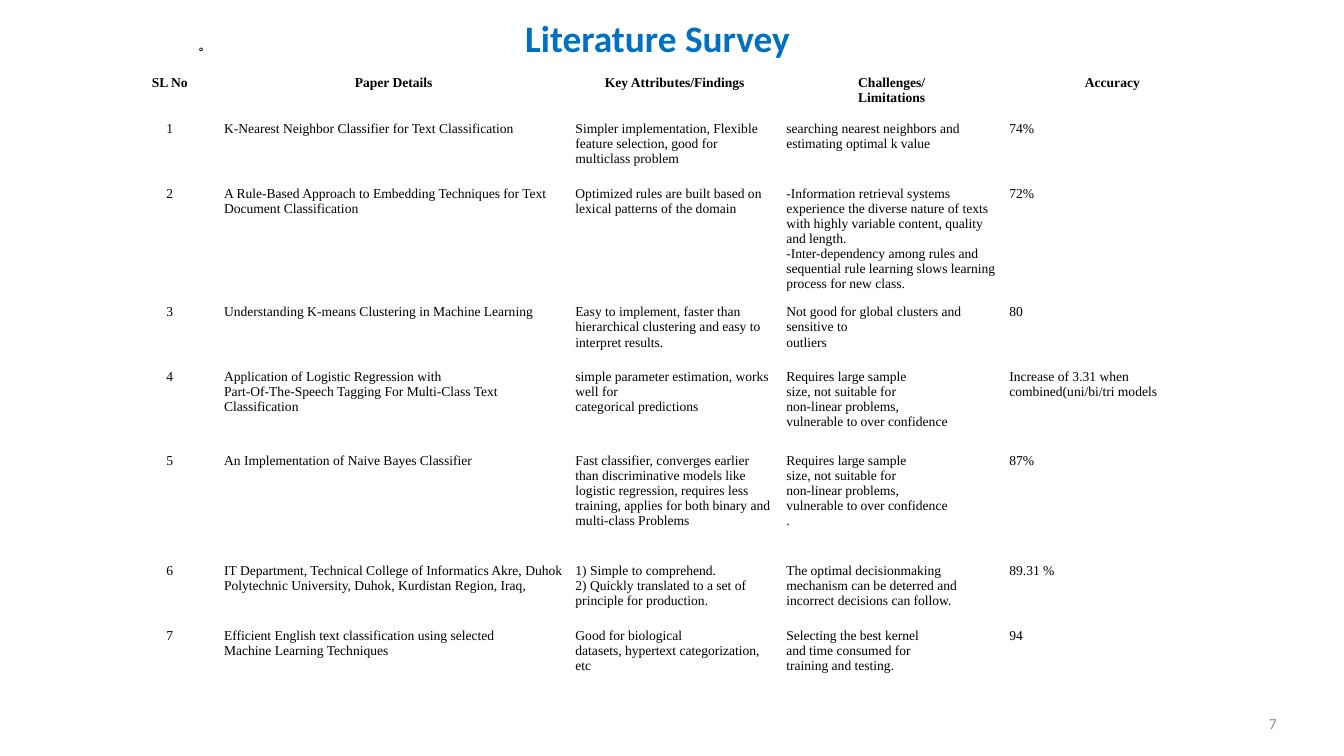
from pptx import Presentation
from pptx import util as u
from pptx.dml.color import RGBColor
from pptx.enum import shapes, text

COLORS = {"title": "0070C0", "body": "000000", "number": "898989", "mark": "231F20"}
COLUMN_WIDTHS = [4.01, 14.6, 8.76, 9.27, 9.07]
ROW_HEIGHTS = [1.9, 2.69, 4.93, 2.69, 3.48, 4.57, 2.72, 2.69]
HEADINGS = ["SL No", "Paper Details", "Key Attributes/Findings",
            "Challenges/\nLimitations", "Accuracy"]
LARGE_SAMPLE = ("Requires large sample\nsize, not suitable for\n"
                "non-linear problems,\nvulnerable to over confidence")
PAPERS = [
    ("K-Nearest Neighbor Classifier for Text Classification",
     "Simpler implementation, Flexible feature selection, good for multiclass problem",
     "searching nearest neighbors and estimating optimal k value",
     "74%"),
    ("A Rule-Based Approach to Embedding Techniques for Text Document Classification",
     "Optimized rules are built based on lexical patterns of the domain",
     "-Information retrieval systems experience the diverse nature of texts "
     "with highly variable content, quality and length.\n"
     "-Inter-dependency among rules and sequential rule learning slows "
     "learning process for new class.",
     "72%"),
    ("Understanding K-means Clustering in Machine Learning",
     "Easy to implement, faster than hierarchical clustering and easy to interpret results.",
     "Not good for global clusters and sensitive to\noutliers",
     "80"),
    ("Application of Logistic Regression with\n"
     "Part-Of-The-Speech Tagging For Multi-Class Text Classification",
     "simple parameter estimation, works well for\ncategorical predictions",
     LARGE_SAMPLE,
     "Increase of 3.31 when combined(uni/bi/tri models"),
    ("An Implementation of Naive Bayes Classifier",
     "Fast classifier, converges earlier than discriminative models like logistic "
     "regression, requires less training, applies for both binary and multi-class Problems",
     LARGE_SAMPLE + "\n.",
     "87%"),
    ("IT Department, Technical College of Informatics Akre, Duhok Polytechnic "
     "University, Duhok, Kurdistan Region, Iraq,",
     "1) Simple to comprehend.\n2) Quickly translated to a set of\nprinciple for production.",
     "The optimal decisionmaking mechanism can be deterred and incorrect decisions can follow.",
     "89.31 %"),
    ("Efficient English text classification using selected\nMachine Learning Techniques",
     "Good for biological\ndatasets, hypertext categorization, etc",
     "Selecting the best kernel\nand time consumed for\ntraining and testing.",
     "94"),
]


def write(frame, words, size, font, color, align, bold=False):
    frame.text = words
    frame.word_wrap = True
    for paragraph in frame.paragraphs:
        paragraph.alignment = align
        for run in paragraph.runs:
            run.font.size = u.Pt(size)
            run.font.name = font
            run.font.bold = bold
            run.font.color.rgb = RGBColor.from_string(COLORS[color])


def set_insets(frame, left=0):
    frame.margin_left = u.Cm(left)
    frame.margin_top = frame.margin_right = frame.margin_bottom = 0
    frame.vertical_anchor = text.MSO_ANCHOR.TOP
    frame.auto_size = text.MSO_AUTO_SIZE.NONE


def add_title(slide, left, top, width, height):
    title = slide.shapes.title
    title.left, title.top = u.Cm(left), u.Cm(top)
    title.width, title.height = u.Cm(width), u.Cm(height)
    set_insets(title.text_frame, left=3.5)
    write(title.text_frame, "Literature Survey", 44, "Calibri", "title",
          text.PP_ALIGN.CENTER, bold=True)


def add_registration_mark(slide, left, top, size):
    mark = slide.shapes.add_shape(shapes.MSO_SHAPE.DONUT, u.Cm(left), u.Cm(top),
                                  u.Cm(size), u.Cm(size))
    mark.shadow.inherit = False
    mark.fill.solid()
    mark.fill.fore_color.rgb = RGBColor.from_string(COLORS["mark"])
    mark.line.fill.background()


def add_survey_table(slide, left, top):
    rows = [HEADINGS] + [(str(number), *paper) for number, paper in enumerate(PAPERS, 1)]
    survey = slide.shapes.add_table(
        len(rows), len(HEADINGS), u.Cm(left), u.Cm(top),
        u.Cm(sum(COLUMN_WIDTHS)), u.Cm(sum(ROW_HEIGHTS))).table
    survey.first_row = survey.horz_banding = False
    for column, width in zip(survey.columns, COLUMN_WIDTHS):
        column.width = u.Cm(width)
    for r, (row, height) in enumerate(zip(survey.rows, ROW_HEIGHTS)):
        row.height = u.Cm(height)
        for c, (cell, words) in enumerate(zip(row.cells, rows[r])):
            cell.fill.background()
            centred = r == 0 or c == 0
            write(cell.text_frame, words, 16, "Times New Roman", "body",
                  text.PP_ALIGN.CENTER if centred else text.PP_ALIGN.LEFT, bold=r == 0)


def add_slide_number(slide, left, top, width, height):
    number = slide.shapes.add_textbox(u.Cm(left), u.Cm(top), u.Cm(width), u.Cm(height))
    set_insets(number.text_frame)
    write(number.text_frame, "7", 18, "Calibri", "number", text.PP_ALIGN.RIGHT)


def main():
    deck = Presentation()
    deck.slide_width, deck.slide_height = u.Cm(55.85), u.Cm(31.42)
    slide = deck.slides.add_slide(deck.slide_layouts[5])
    add_registration_mark(slide, 8.28, 1.98, 0.15)
    add_title(slide, 17.35, 0.61, 16.46, 2.4)
    add_slide_number(slide, 40.21, 29.67, 12.85, 1.57)
    add_survey_table(slide, 5.05, 3.02)
    deck.save("out.pptx")


if __name__ == "__main__":
    main()
